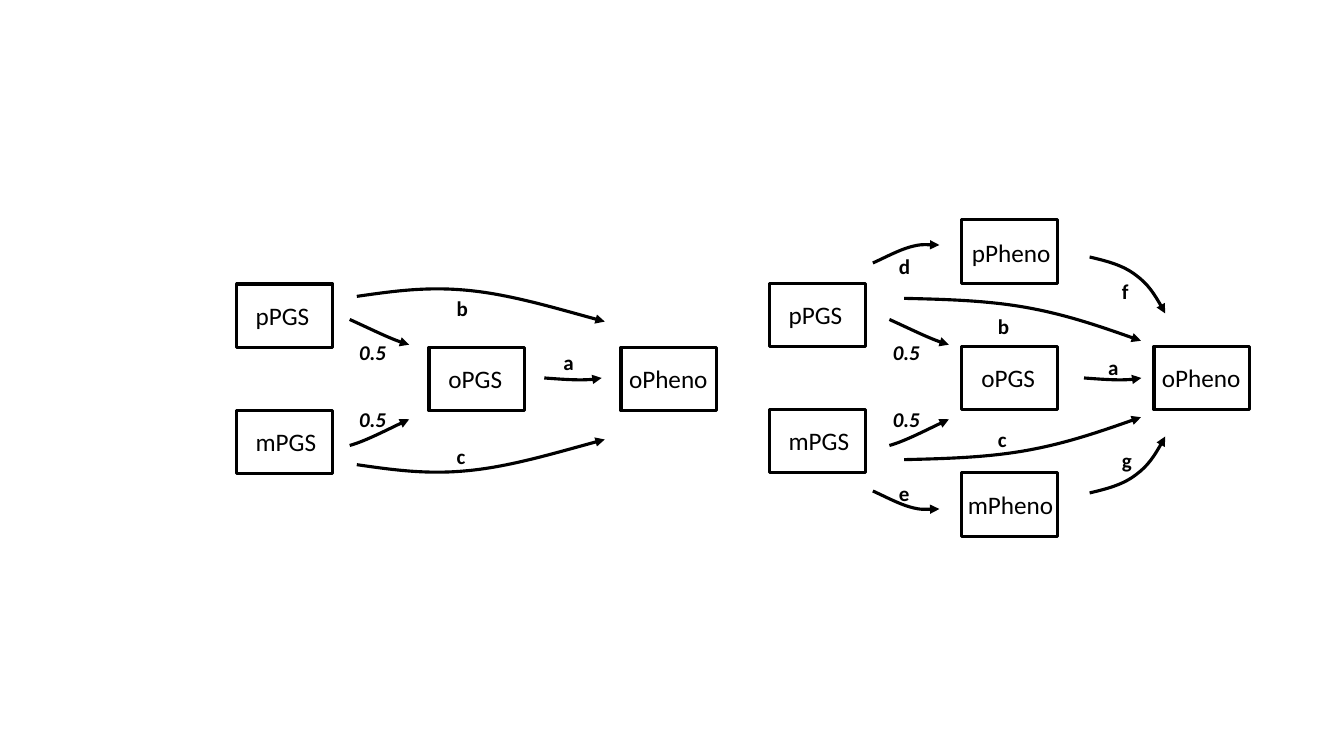
"""Draw two path diagrams linking parent and offspring scores to phenotypes."""
from pptx import Presentation
from pptx.dml.color import RGBColor
from pptx.enum import shapes, text
from pptx.oxml import ns, xmlchemy as xml
from pptx.util import Pt

INK = RGBColor.from_string("000000")
NODE = {"name": "Calibri", "size": Pt(18)}
MARK = {"name": "Calibri", "size": Pt(15), "bold": True}
HALF = {**MARK, "italic": True}

deck = Presentation()
deck.slide_width, deck.slide_height = Pt(960), Pt(540)
slide = deck.slides.add_slide(deck.slide_layouts[6])


def label(words, x, y, wide, high, form):
    box = slide.shapes.add_textbox(Pt(x), Pt(y), Pt(wide), Pt(high))
    frame = box.text_frame
    frame.word_wrap = True
    frame.auto_size = text.MSO_AUTO_SIZE.SHAPE_TO_FIT_TEXT
    run = frame.paragraphs[0].add_run()
    run.text = words
    run.font.color.rgb = INK
    for key, value in form.items():
        setattr(run.font, key, value)


def outline(shape):
    shape.shadow.inherit = False
    shape.fill.background()
    shape.line.color.rgb = INK
    shape.line.width = Pt(2.25)


core = [("pPGS", 0, 1, 6.3, 7.9, 71.3), ("mPGS", 0, 3, 6.3, 7.9, 71.3),
        ("oPGS", 1, 2, 6.8, 7.9, 71.3), ("oPheno", 2, 2, -1.4, 7.9, 71.3)]
extra = [("pPheno", 1, 0, 0, 8.6, 71.3), ("mPheno", 1, 4, -2.9, 7.9, 78.5)]
for left, top, nodes in [(169.2, 157.7, core), (549.9, 157, core + extra)]:
    for name, col, row, dx, dy, wide in nodes:
        x, y = left + 137.2 * col, top + 45.2 * row
        outline(slide.shapes.add_shape(
            shapes.MSO_SHAPE.RECTANGLE, Pt(x), Pt(y), Pt(68.5), Pt(45.2)))
        label(name, x + dx, y + dy, wide, 29.1, NODE)

short = [
    [(249.8, 228.2), (265.7, 235.4), (281.5, 243.4), (292.3, 246.2)],
    [(249.8, 318.2), (259.9, 315.4), (275.8, 307.4), (292.3, 299.5)],
    [(388.8, 270), (404.6, 271.2), (421, 272.2), (429.8, 270)],
]
long = [
    (543.6, [(254.9, 211.7), (280.1, 208.1), (304.6, 204.5), (334.1, 207.4),
             (363.6, 210.2), (397.4, 220.3), (432, 229.7)]),
    (541.4, [(645.8, 213.1), (675.4, 213.8), (704.9, 214.6), (733, 219.6),
             (761, 224.6), (788.4, 234), (815, 243.4)]),
    (538.6, [(623.5, 187.9), (632.9, 183.6), (642.2, 178.6), (650.2, 176.4),
             (658.1, 174.2), (666.7, 175), (671, 175)]),
    (535.7, [(778.3, 183.6), (790.6, 186.5), (802.1, 189.4), (811.4, 196.6),
             (820.1, 203), (826.6, 213.1), (832.3, 223.9)]),
]
curves = [[(x + dx, y) for x, y in dots] for dx in (0, 385.5) for dots in short]
for total, dots in long:
    curves += [dots, [(x, total - y) for x, y in dots]]

for dots in curves:
    first, *rest = [(Pt(x), Pt(y)) for x, y in dots]
    pen = slide.shapes.build_freeform(*first)
    pen.add_line_segments(rest, close=False)
    arrow = pen.convert_to_shape()
    outline(arrow)
    steps = list(arrow._element.iter(ns.qn("a:lnTo")))
    for start in range(0, len(steps), 3):
        bend, *more = steps[start:start + 3]
        bend.tag = ns.qn("a:cubicBezTo")
        for step in more:
            bend.append(step[0])
            step.getparent().remove(step)
    line = arrow.line._get_or_add_ln()
    tip = xml.OxmlElement("a:tailEnd")
    tip.set("type", "triangle")
    line.append(tip)

marks = [("d", 635, 177.8), ("e", 635, 339.8), ("f", 794.2, 195.1),
         ("g", 794.2, 316.1), ("c", 705.6, 301), ("a", 784.4, 249.8),
         ("b", 705.6, 220.3), ("c", 319, 313.2), ("a", 395.3, 246.2),
         ("b", 319, 207.4)]
for name, x, y in marks:
    label(name, x, y, 25.2, 25.2, MARK)
for x in (249.5, 630.7):
    for y in (238.7, 286.6):
        label("0.5", x, y, 63, 25.2, HALF)

deck.save("out.pptx")
